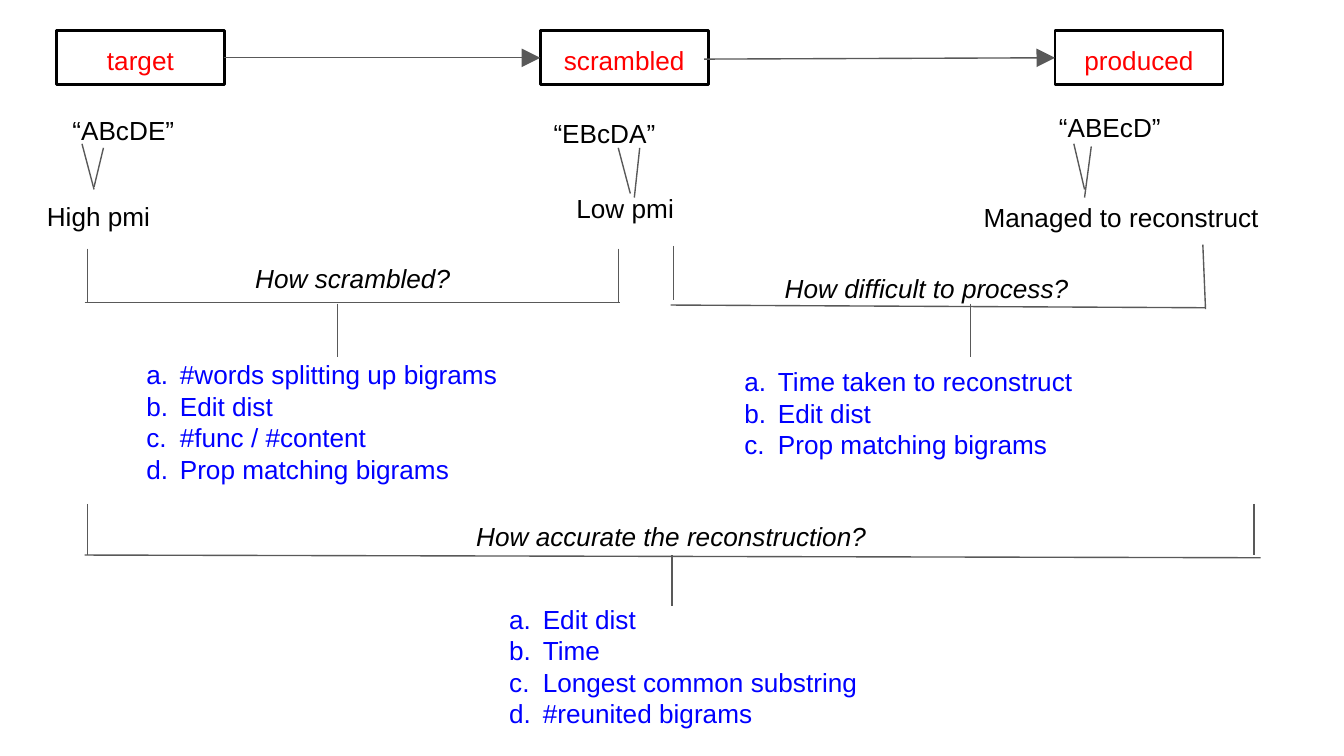
from lxml.etree import SubElement
from pptx import Presentation
from pptx.dml.color import RGBColor
from pptx.enum.shapes import MSO_CONNECTOR as Connector, MSO_SHAPE as Shape
from pptx.enum.text import MSO_ANCHOR as Anchor, PP_ALIGN as Align
from pptx.oxml.ns import qn
from pptx.util import Inches, Pt

color = RGBColor.from_string
BLACK, RED, BLUE, GRAY = "000000", "FF0000", "0000FF", "595959"

# Widescreen 16:9 slide
presentation = Presentation()
presentation.slide_width = Inches(10)
presentation.slide_height = Inches(10 * 9 / 16)
slide = presentation.slides.add_slide(presentation.slide_layouts[6])


def write(shape, lines, text_color, align=Align.LEFT, italic=False, lettered=False):
    frame = shape.text_frame
    frame.word_wrap = True
    frame.vertical_anchor = Anchor.TOP
    frame.margin_left = frame.margin_right = Inches(0.1)
    frame.margin_top = frame.margin_bottom = Inches(0.1)
    for index, line in enumerate(lines):
        paragraph = frame.add_paragraph() if index else frame.paragraphs[0]
        paragraph.alignment = align
        run = paragraph.add_run()
        run.text = line
        run.font.name = "Arial"
        run.font.size = Pt(14)
        run.font.italic = italic
        run.font.color.rgb = color(text_color)
        if lettered:
            properties = paragraph._p.get_or_add_pPr()
            properties.set("marL", str(Inches(0.5)))
            properties.set("indent", str(Inches(-0.25)))
            bullet_color = SubElement(properties, qn("a:buClr"))
            SubElement(bullet_color, qn("a:srgbClr"), val=text_color)
            SubElement(properties, qn("a:buFont"), typeface="Arial")
            SubElement(properties, qn("a:buAutoNum"), type="alphaLcPeriod")


def add_line(x1, y1, x2, y2, arrow=False):
    line = slide.shapes.add_connector(
        Connector.STRAIGHT, Inches(x1), Inches(y1), Inches(x2), Inches(y2))
    line.line.color.rgb = color(GRAY)
    line.line.width = Pt(0.75)
    if arrow:
        SubElement(line.line._get_or_add_ln(), qn("a:tailEnd"),
                   type="triangle", w="lg", len="lg")
    SubElement(line._element.spPr, qn("a:effectLst"))
    return line


# Stage boxes
stages = []
for label, left in (("target", 0.42), ("scrambled", 4.02), ("produced", 7.85)):
    box = slide.shapes.add_shape(
        Shape.RECTANGLE, Inches(left), Inches(0.23), Inches(1.25), Inches(0.4))
    box.shadow.inherit = False
    box.fill.background()
    box.line.color.rgb = color(BLACK)
    box.line.width = Pt(1.5)
    write(box, [label], RED, Align.CENTER)
    stages.append(box)
target, scrambled, produced = stages

# Arrows between stages
arrow = add_line(1.67, 0.43, 4.02, 0.43, arrow=True)
arrow.begin_connect(target, 3)
arrow.end_connect(scrambled, 1)
arrow = add_line(5.24, 0.44, 7.85, 0.43, arrow=True)
arrow.end_connect(produced, 1)

# Example strings and their notes
for text, left, top, width, height in (
    ("“ABcDE”", 0.44, 0.75, 1.25, 0.43),
    ("“EBcDA”", 4.02, 0.77, 1.25, 0.43),
    ("“ABEcD”", 7.78, 0.73, 1.32, 0.43),
    ("High pmi", 0.25, 1.39, 1.12, 0.4),
    ("Low pmi", 4.19, 1.33, 1.12, 0.37),
    ("Managed to reconstruct", 7.22, 1.4, 2.39, 0.47),
):
    box = slide.shapes.add_textbox(
        Inches(left), Inches(top), Inches(width), Inches(height))
    write(box, [text], BLACK)

# Pointers from letter pairs to notes
for ends in (
    (0.61, 1.07, 0.7, 1.41), (0.77, 1.1, 0.7, 1.39),
    (4.6, 1.1, 4.69, 1.44), (4.76, 1.1, 4.72, 1.47),
    (7.99, 1.07, 8.07, 1.41), (8.12, 1.09, 8.07, 1.47),
):
    add_line(*ends)

# Brackets: left side, right side, base, stem
for bracket in (
    ((0.65, 1.85, 0.65, 2.25), (4.6, 1.85, 4.6, 2.25),
     (0.63, 2.25, 4.61, 2.25), (2.51, 2.26, 2.51, 2.66)),
    ((5.01, 1.83, 5.01, 2.23), (8.95, 1.82, 8.97, 2.3),
     (4.99, 2.27, 8.97, 2.29), (7.22, 2.26, 7.22, 2.66)),
    ((0.65, 3.75, 0.65, 4.13), (9.33, 3.75, 9.33, 4.13),
     (0.63, 4.13, 9.38, 4.15), (5, 4.13, 5, 4.51)),
):
    for ends in bracket:
        add_line(*ends)

# Questions
for question, left, top in (
    ("How scrambled?", 0.97, 1.85),
    ("How difficult to process?", 5.24, 1.93),
    ("How accurate the reconstruction?", 3.34, 3.77),
):
    box = slide.shapes.add_textbox(
        Inches(left), Inches(top), Inches(3.31), Inches(0.34))
    write(box, [question], BLACK, Align.CENTER, italic=True)

# Lettered measures
for left, top, width, height, measures in (
    (0.74, 2.57, 3.76, 1.03, ["#words splitting up bigrams", "Edit dist",
                              "#func / #content", "Prop matching bigrams"]),
    (5.19, 2.62, 3.76, 1.03, ["Time taken to reconstruct", "Edit dist",
                              "Prop matching bigrams"]),
    (3.44, 4.39, 5.11, 0.87, ["Edit dist", "Time", "Longest common substring",
                              "#reunited bigrams"]),
):
    box = slide.shapes.add_textbox(
        Inches(left), Inches(top), Inches(width), Inches(height))
    write(box, measures, BLUE, lettered=True)

presentation.save("out.pptx")
